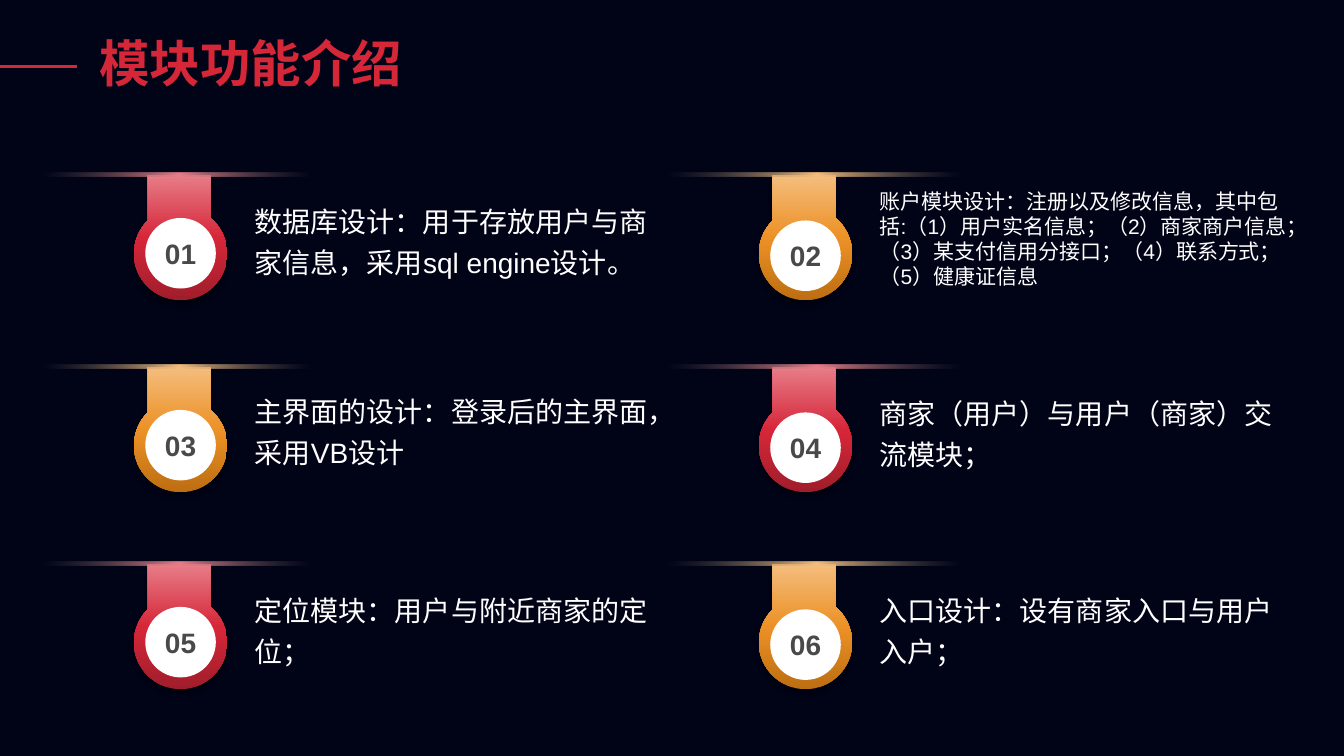
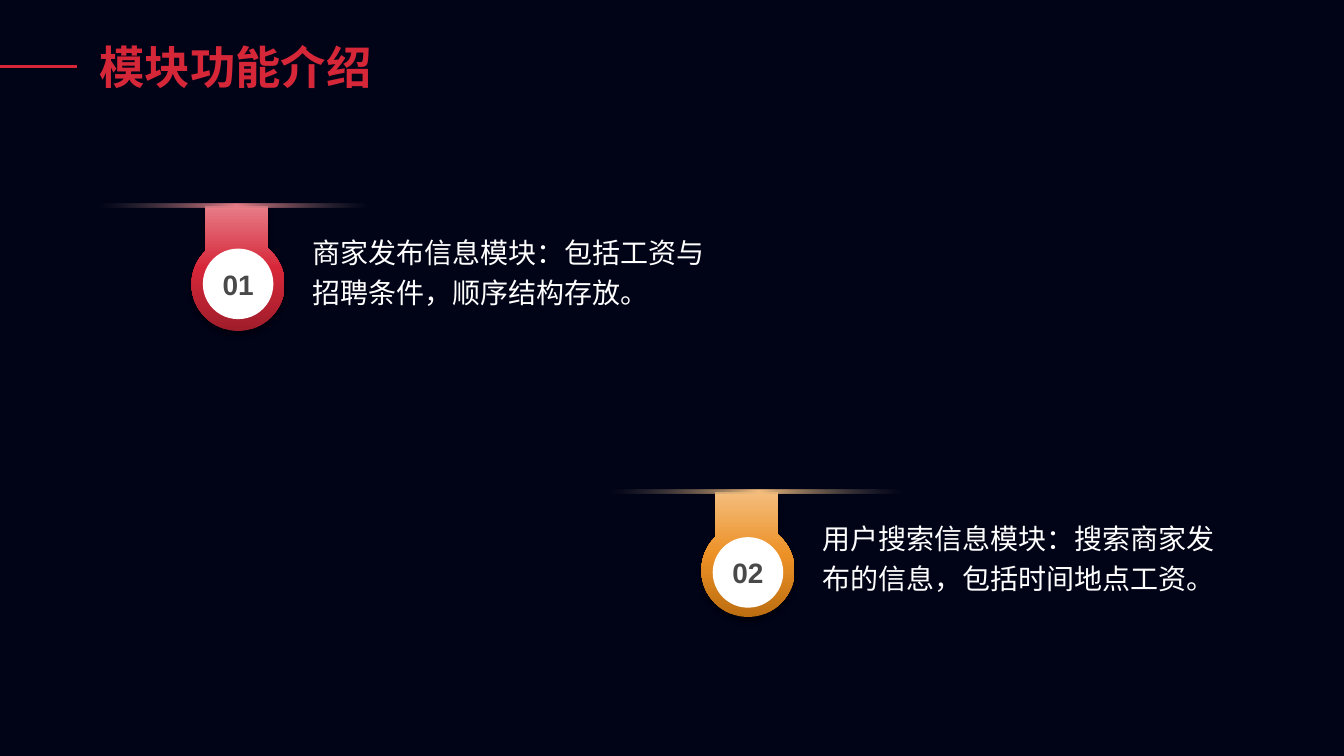
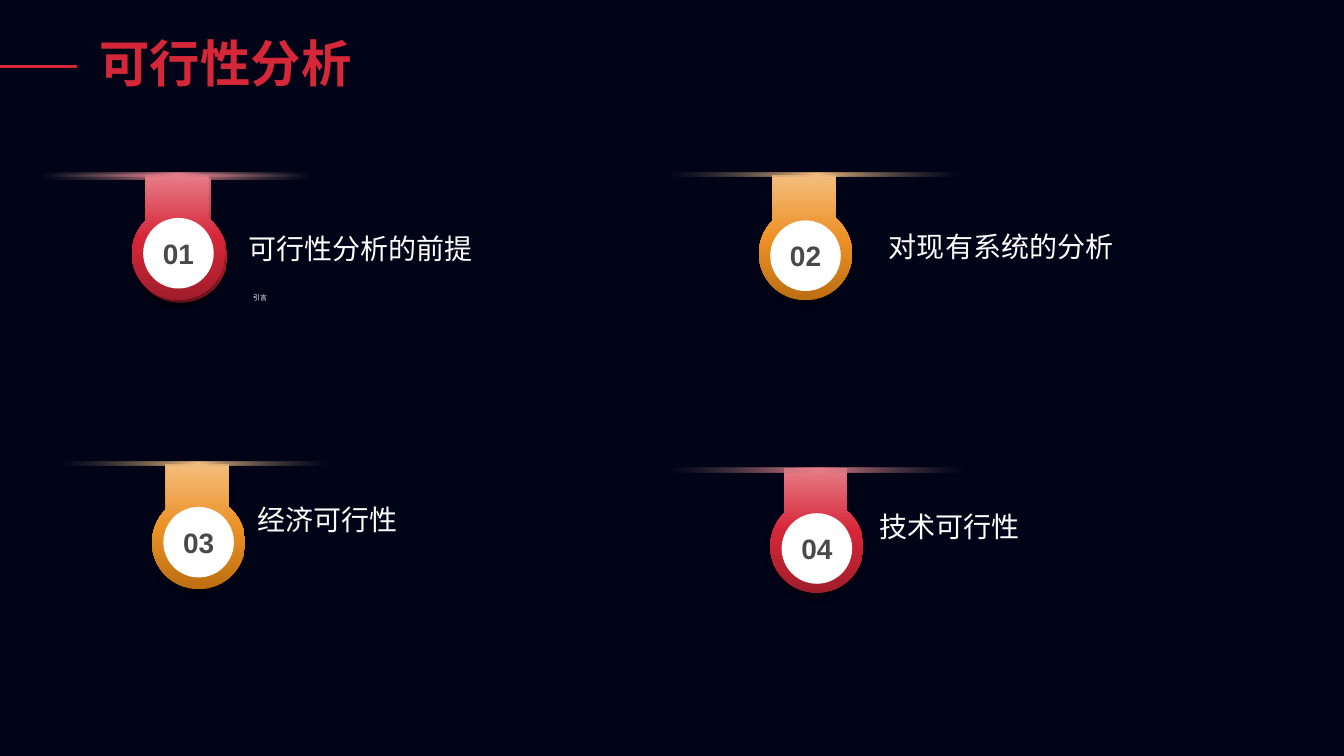
"""Build three slides of numbered hanging badges on a dark background."""
import math
from dataclasses import dataclass
from typing import Any

from lxml import etree
from pptx import Presentation
from pptx import util as u
from pptx.dml.color import RGBColor
from pptx.enum import lang, shapes, text
from pptx.oxml import ns

# The slide is a grid of 160 x 90 square cells; all lengths are in cells.
COLS, ROWS = 160, 90
CELL = u.Inches(1 / 12)

COLORS = {
    "night": "010317",
    "red": "D62739",
    "white": "FFFFFF",
    "grey": "494949",
    "glow_end": "5F5F5F",
    "shadow": "000000",
}
TONES = {
    "red": ("A01D2B", "D62739", "E77D88"),
    "orange": ("BD6E11", "EC9126", "F4BD7D"),
}
FONT = {"name": "Arial", "language_id": lang.MSO_LANGUAGE_ID.SIMPLIFIED_CHINESE}
TITLE_FRAME = {
    "vertical_anchor": text.MSO_ANCHOR.MIDDLE,
    "auto_size": text.MSO_AUTO_SIZE.NONE,
    "word_wrap": True,
    "margin_left": u.Inches(0.07),
    "margin_right": u.Inches(0.07),
    "margin_top": u.Inches(0.04),
    "margin_bottom": u.Inches(0.04),
}
TEXT_FRAME = {"vertical_anchor": text.MSO_ANCHOR.MIDDLE, "word_wrap": True}
NUMBER_FRAME = {
    "vertical_anchor": text.MSO_ANCHOR.MIDDLE,
    "word_wrap": False,
    **{f"margin_{side}": 0 for side in ("left", "top", "right", "bottom")},
}

TAG_W, TAG_H = 11.1, 14.9
RADIUS = TAG_W / 2
NECK_LEFT, NECK_RIGHT = 1.65, 9.1
DISC = 8.4
GLOW_H = 0.5
TEXT_W, TEXT_H = 51.4, 14.6
LEFT, RIGHT = 15.95, 90.35
ROW_TOPS = (20.85, 43.7, 67.15)


@dataclass
class Badge:
    """A hanging tag with a number and a text beside it."""
    number: str
    words: str
    col: float
    row: float
    tone: str
    wide: bool = False
    size: float = 20
    spacing: float = 1.2
    text_dx: float = 13.2
    text_dy: float = 0.25
    glow_dx: float = -10.9
    glow_dy: float = -0.3


@dataclass
class Page:
    """One slide: its title, title size, line spacing and badges."""
    title: str
    title_size: float
    title_spacing: float
    badges: list[Badge]


def cells(*lengths: float) -> list[int]:
    """Turn lengths in grid cells into EMU."""
    return [round(n * CELL) for n in lengths]


def apply(target: Any, values: dict) -> None:
    """Set each named attribute of the target."""
    for name, value in values.items():
        setattr(target, name, value)


def write(tf: Any, words: str, size: float, color: str, frame: dict,
          bold: bool = False, spacing: float = 1.0,
          align: Any = text.PP_ALIGN.LEFT) -> None:
    """Fill a text frame with one formatted paragraph."""
    apply(tf, frame)
    p = tf.paragraphs[0]
    apply(p, {"alignment": align, "line_spacing": spacing})
    r = p.add_run()
    r.text = words
    apply(r.font, {**FONT, "size": u.Pt(size), "bold": bold})
    r.font.color.rgb = RGBColor.from_string(COLORS[color])


def color_xml(parent: Any, value: str, alpha: int = 100) -> None:
    """Add a colour with an opacity in percent."""
    clr = etree.SubElement(parent, ns.qn("a:srgbClr"), val=value)
    if alpha < 100:
        etree.SubElement(clr, ns.qn("a:alpha"), val=str(alpha * 1000))


def paint_gradient(sp: Any, stops: list[tuple[int, str, int]], angle: int) -> None:
    """Give a shape a linear gradient and neither outline nor shadow."""
    sp.line.fill.background()
    sp.shadow.inherit = False
    sp.fill.background()
    sp_pr = sp.element.spPr
    grad = etree.Element(ns.qn("a:gradFill"), rotWithShape="1")
    gs_list = etree.SubElement(grad, ns.qn("a:gsLst"))
    for position, value, alpha in stops:
        gs = etree.SubElement(gs_list, ns.qn("a:gs"), pos=str(position * 1000))
        color_xml(gs, value, alpha)
    etree.SubElement(grad, ns.qn("a:lin"), ang=str(angle * 60000), scaled="0")
    sp_pr.replace(sp_pr.find(ns.qn("a:noFill")), grad)


def drop_shadow(sp: Any) -> None:
    """Add a soft shadow below a shape."""
    effects = sp.element.spPr.find(ns.qn("a:effectLst"))
    shadow = etree.SubElement(
        effects, ns.qn("a:outerShdw"), blurRad=str(u.Pt(4)), dist=str(u.Pt(3)),
        dir=str(90 * 60000), algn="t", rotWithShape="0")
    color_xml(shadow, COLORS["shadow"], 40)


def ring_point(angle: float, bend: float = 0) -> tuple[float, float]:
    """Return a point of the ring, moved along its tangent by bend radii."""
    return (RADIUS * (1 + math.cos(angle) - bend * math.sin(angle)),
            TAG_H - RADIUS + RADIUS * (math.sin(angle) + bend * math.cos(angle)))


def add_tag(parent: Any, col: float, row: float) -> Any:
    """Add a neck that runs into a round ring drawn with four curves."""
    start = -math.acos((NECK_RIGHT - RADIUS) / RADIUS)
    end = math.pi + math.acos((RADIUS - NECK_LEFT) / RADIUS)
    angles = [start, 0, math.pi / 2, math.pi, end]
    corners = [(NECK_LEFT, 0), (NECK_RIGHT, 0), *map(ring_point, angles)]
    first, *others = [cells(col + x, row + y) for x, y in corners]
    builder = parent.build_freeform(*first)
    builder.add_line_segments(others, close=True)
    tag = builder.convert_to_shape()

    lines = list(tag.element.iter(ns.qn("a:lnTo")))[2:]
    for line, a, b in zip(lines, angles, angles[1:]):
        bend = 4 / 3 * math.tan((b - a) / 4)
        curve = etree.Element(ns.qn("a:cubicBezTo"))
        for point in (ring_point(a, bend), ring_point(b, -bend), ring_point(b)):
            x, y = cells(*point)
            etree.SubElement(curve, ns.qn("a:pt"), x=str(x), y=str(y))
        line.getparent().replace(line, curve)
    return tag


def add_text(parent: Any, words: str, col: float, row: float, height: float,
             size: float, spacing: float) -> None:
    """Add a white wrapped text box."""
    box = parent.add_textbox(*cells(col, row, TEXT_W, height))
    write(box.text_frame, words, size, "white", TEXT_FRAME, spacing=spacing)


def add_badge(s: Any, badge: Badge) -> None:
    """Draw one badge as a group; without a number it has no disc."""
    group = s.shapes.add_group_shape().shapes
    if badge.words:
        add_text(group, badge.words, badge.col + badge.text_dx,
                 badge.row + badge.text_dy, TEXT_H, badge.size, badge.spacing)
    dark, middle, light = TONES[badge.tone]

    tag = add_tag(group, badge.col, badge.row)
    paint_gradient(tag, [(0, dark, 100), (50, middle, 100), (100, light, 100)], 270)
    drop_shadow(tag)

    if badge.number:
        disc_dy = 5.4 if badge.wide else 5.1
        disc = group.add_shape(
            shapes.MSO_SHAPE.OVAL,
            *cells(badge.col + (TAG_W - DISC) / 2, badge.row + disc_dy, DISC, DISC))
        disc.shadow.inherit = False
        disc.fill.solid()
        disc.fill.fore_color.rgb = RGBColor.from_string(COLORS["white"])
        disc.line.fill.background()
        write(disc.text_frame, badge.number, 20, "grey", NUMBER_FRAME,
              bold=True, align=text.PP_ALIGN.CENTER)

    glow = group.add_shape(
        shapes.MSO_SHAPE.RECTANGLE,
        *cells(badge.col + badge.glow_dx, badge.row + badge.glow_dy,
               35.6 if badge.wide else 32.6, GLOW_H))
    end = COLORS["glow_end"]
    paint_gradient(glow, [(2, end, 0), (50, light, 100), (100, end, 0)], 180)


def style_layout(prs: Any, layout: Any) -> None:
    """Set the shared background and title place."""
    fill = prs.slide_master.background.fill
    fill.solid()
    fill.fore_color.rgb = RGBColor.from_string(COLORS["night"])
    left, top, width, height = cells(11, 2.25, 138, 11.3)
    apply(layout.placeholders[0],
          {"left": left, "top": top, "width": width, "height": height})


def add_title(s: Any, page: Page) -> None:
    """Write the title and draw the red rule before it."""
    rule = s.shapes.add_connector(shapes.MSO_CONNECTOR.STRAIGHT,
                                  *cells(0, 7.9, 9.2, 7.9))
    rule.line.color.rgb = RGBColor.from_string(COLORS["red"])
    rule.line.width = u.Pt(2.25)
    etree.SubElement(rule.element.spPr, ns.qn("a:effectLst"))
    write(s.shapes.title.text_frame, page.title, page.title_size, "red",
          TITLE_FRAME, bold=True, spacing=page.title_spacing)


def add_page(prs: Any, layout: Any, page: Page) -> Any:
    """Add a slide with its title and badges."""
    s = prs.slides.add_slide(layout)
    add_title(s, page)
    for badge in page.badges:
        add_badge(s, badge)
    return s


TOP, MIDDLE, BOTTOM = ROW_TOPS
MODULES = Page("模块功能介绍", 36, 0.9, [
    Badge("01", "数据库设计：用于存放用户与商家信息，采用sql engine设计。",
          LEFT, TOP, "red"),
    Badge("02", "账户模块设计：注册以及修改信息，其中包括:（1）用户实名信息；"
          "（2）商家商户信息；（3）某支付信用分接口；（4）联系方式；（5）健康证信息",
          RIGHT, TOP, "orange", wide=True, size=15, spacing=1.0),
    Badge("03", "主界面的设计：登录后的主界面，采用VB设计",
          LEFT, MIDDLE, "orange", text_dy=0),
    Badge("04", "商家（用户）与用户（商家）交流模块；",
          RIGHT, MIDDLE, "red", wide=True),
    Badge("05", "定位模块：用户与附近商家的定位；", LEFT, BOTTOM, "red"),
    Badge("06", "入口设计：设有商家入口与用户入户；",
          RIGHT, BOTTOM, "orange", wide=True),
])
MORE_MODULES = Page("模块功能介绍", 32.4, 1.0, [
    Badge("01", "商家发布信息模块：包括工资与招聘条件，顺序结构存放。",
          22.8, 24.5, "red"),
    Badge("02", "用户搜索信息模块：搜索商家发布的信息，包括时间地点工资。",
          83.5, 58.55, "orange", wide=True),
])
FEASIBILITY = Page("可行性分析", 36, 0.9, [
    Badge("", "", LEFT, 21.15, "red"),
    Badge("01", "可行性分析的前提", 15.7, TOP, "red", text_dx=12.65, text_dy=1),
    Badge("02", "对现有系统的分析", RIGHT, TOP, "orange", wide=True,
          text_dx=14.3, text_dy=0.75),
    Badge("03", "经济可行性", 18.1, 55.25, "orange", text_dx=11.4, text_dy=-1.1),
    Badge("04", "技术可行性", 91.7, 55.7, "red", wide=True,
          text_dx=11.8, text_dy=-0.7, glow_dx=-12, glow_dy=0),
])


def main() -> None:
    """Build and save the presentation."""
    prs = Presentation()
    prs.slide_width, prs.slide_height = cells(COLS, ROWS)
    layout = prs.slide_layouts[5]
    style_layout(prs, layout)
    for page in (MODULES, MORE_MODULES, FEASIBILITY):
        s = add_page(prs, layout, page)
    add_text(s.shapes, "引言", 28.95, 35.1, 0.6, 5, 1.0)
    prs.save("out.pptx")


main()
